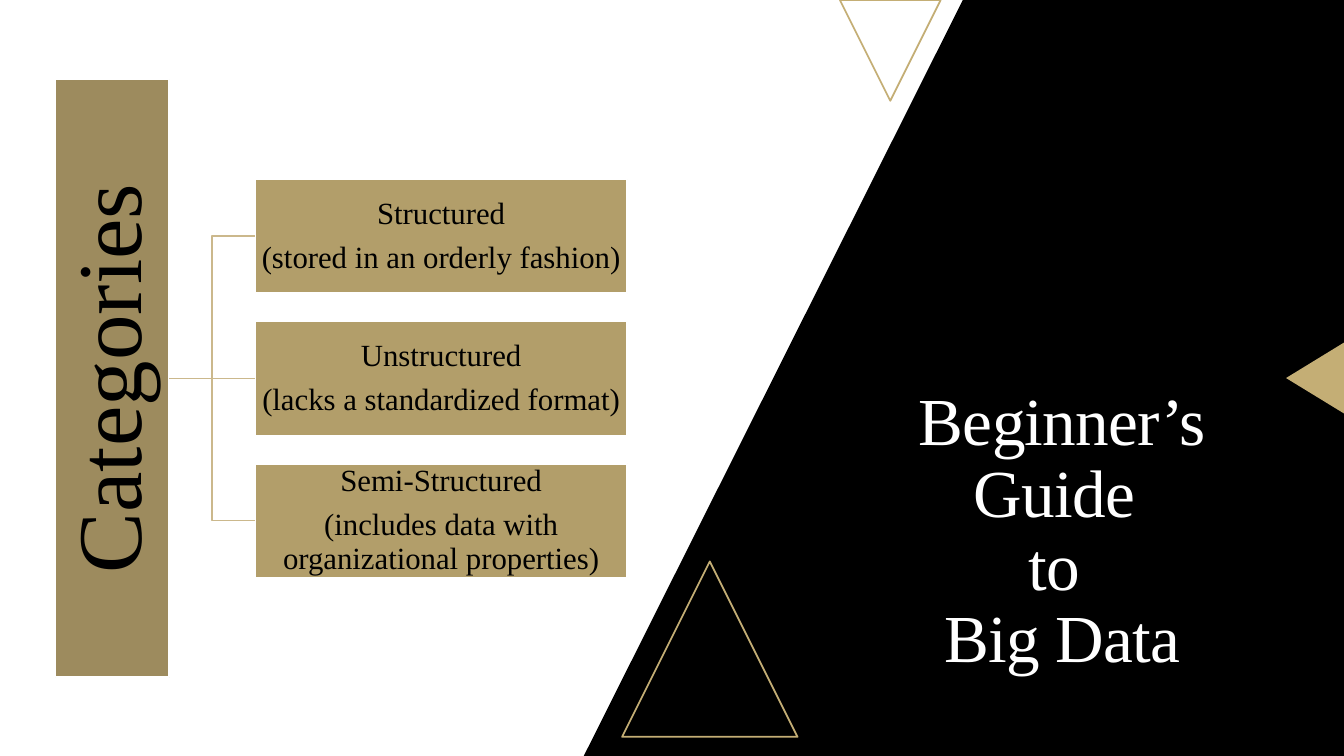
import pptx
import pptx.util
from lxml import etree
from pptx.dml.color import RGBColor
from pptx.enum.shapes import MSO_CONNECTOR, MSO_SHAPE
from pptx.enum.text import MSO_ANCHOR, PP_ALIGN
from pptx.oxml.ns import qn
from pptx.util import Inches

BLACK = RGBColor(0x00, 0x00, 0x00)
WHITE = RGBColor(0xFF, 0xFF, 0xFF)
GOLD = RGBColor(0xC4, 0xAE, 0x75)
LINK_GOLD = RGBColor(0xCB, 0xB8, 0x8C)
ROOT_GOLD = RGBColor(0x9D, 0x8B, 0x5E)
BOX_GOLD = RGBColor(0xB2, 0x9E, 0x6A)
FONT = "Times New Roman"
LINE_WIDTH = pptx.util.Pt(1.25)

CATEGORIES = [
    "Structured\n(stored in an orderly fashion)",
    "Unstructured\n(lacks a standardized format)",
    "Semi-Structured\n(includes data with organizational properties)",
]
BOX_HEIGHT = 1.13
BOX_TOP = 1.78
BOX_PITCH = 1.41


def style_shape(shape, fill=None, line=None):
    shape.shadow.inherit = False
    if fill is None:
        shape.fill.background()
    else:
        shape.fill.solid()
        shape.fill.fore_color.rgb = fill
    if line is None:
        shape.line.fill.background()
    else:
        shape.line.color.rgb = line
        shape.line.width = LINE_WIDTH


def write_text(shape, text, size, color, inset, space_after=0):
    frame = shape.text_frame
    frame.text = text
    frame.word_wrap = True
    frame.vertical_anchor = MSO_ANCHOR.MIDDLE
    frame.margin_left = frame.margin_right = Inches(inset)
    frame.margin_top = frame.margin_bottom = Inches(inset)
    for paragraph in frame.paragraphs:
        paragraph.alignment = PP_ALIGN.CENTER
        paragraph.line_spacing = 0.9
        paragraph.space_after = pptx.util.Pt(space_after)
        for run in paragraph.runs:
            run.font.name = FONT
            run.font.size = pptx.util.Pt(size)
            run.font.color.rgb = color


def add_panel(slide):
    builder = slide.shapes.build_freeform(Inches(9.55), 0)
    corners = [(13.33, 0), (13.33, 7.5), (5.79, 7.5)]
    builder.add_line_segments([(Inches(x), Inches(y)) for x, y in corners])
    style_shape(builder.convert_to_shape(), fill=BLACK)


def add_triangle(slide, left, top, width, height, rotation=0, fill=None, line=None):
    triangle = slide.shapes.add_shape(
        MSO_SHAPE.ISOSCELES_TRIANGLE,
        Inches(left), Inches(top), Inches(width), Inches(height))
    triangle.rotation = rotation
    style_shape(triangle, fill, line)


def add_box(slide, left, top, width, height, fill, text, size, inset):
    box = slide.shapes.add_shape(
        MSO_SHAPE.RECTANGLE,
        Inches(left), Inches(top), Inches(width), Inches(height))
    style_shape(box, fill, WHITE)
    write_text(box, text, size, BLACK, inset, space_after=0.35 * size)
    return box


def add_link(slide, root, box, kind):
    """Join the right side of the root to the left side of a box."""
    link = slide.shapes.add_connector(kind, 0, 0, 0, 0)
    link.begin_connect(root, 3)
    link.end_connect(box, 1)
    link.line.color.rgb = LINK_GOLD
    link.line.width = LINE_WIDTH
    etree.SubElement(link._element.spPr, qn("a:effectLst"))


def add_category_tree(slide):
    root = add_box(slide, 0.55, 0.79, BOX_HEIGHT, 5.93, ROOT_GOLD,
                   "Categories", 65, 0.05)
    root.text_frame._txBody.bodyPr.set("vert", "vert270")
    middle = len(CATEGORIES) // 2
    for index, text in enumerate(CATEGORIES):
        box = add_box(slide, 2.53, BOX_TOP + index * BOX_PITCH, 3.69, BOX_HEIGHT,
                      BOX_GOLD, text, 22, 0.02)
        kind = MSO_CONNECTOR.STRAIGHT if index == middle else MSO_CONNECTOR.ELBOW
        add_link(slide, root, box, kind)


def add_title(slide):
    title = slide.shapes.add_textbox(
        Inches(8.41), Inches(3.64), Inches(4.25), Inches(3.28))
    write_text(title, "Beginner’s Guide \vto \vBig Data", 48, WHITE, 0.1)
    for run in title.text_frame.paragraphs[0].runs:
        run.font._element.set("spc", "-50")


def main():
    presentation = pptx.Presentation()
    presentation.slide_width = Inches(13.33)
    presentation.slide_height = Inches(7.5)
    slide = presentation.slides.add_slide(presentation.slide_layouts[6])
    add_panel(slide)
    add_triangle(slide, 8.33, 0, 1, 1, rotation=180, line=GOLD)
    add_triangle(slide, 6.17, 5.57, 1.74, 1.74, line=GOLD)
    add_triangle(slide, 12.69, 3.46, 0.71, 0.58, rotation=270, fill=GOLD)
    add_title(slide)
    add_category_tree(slide)
    presentation.save("out.pptx")


if __name__ == "__main__":
    main()
